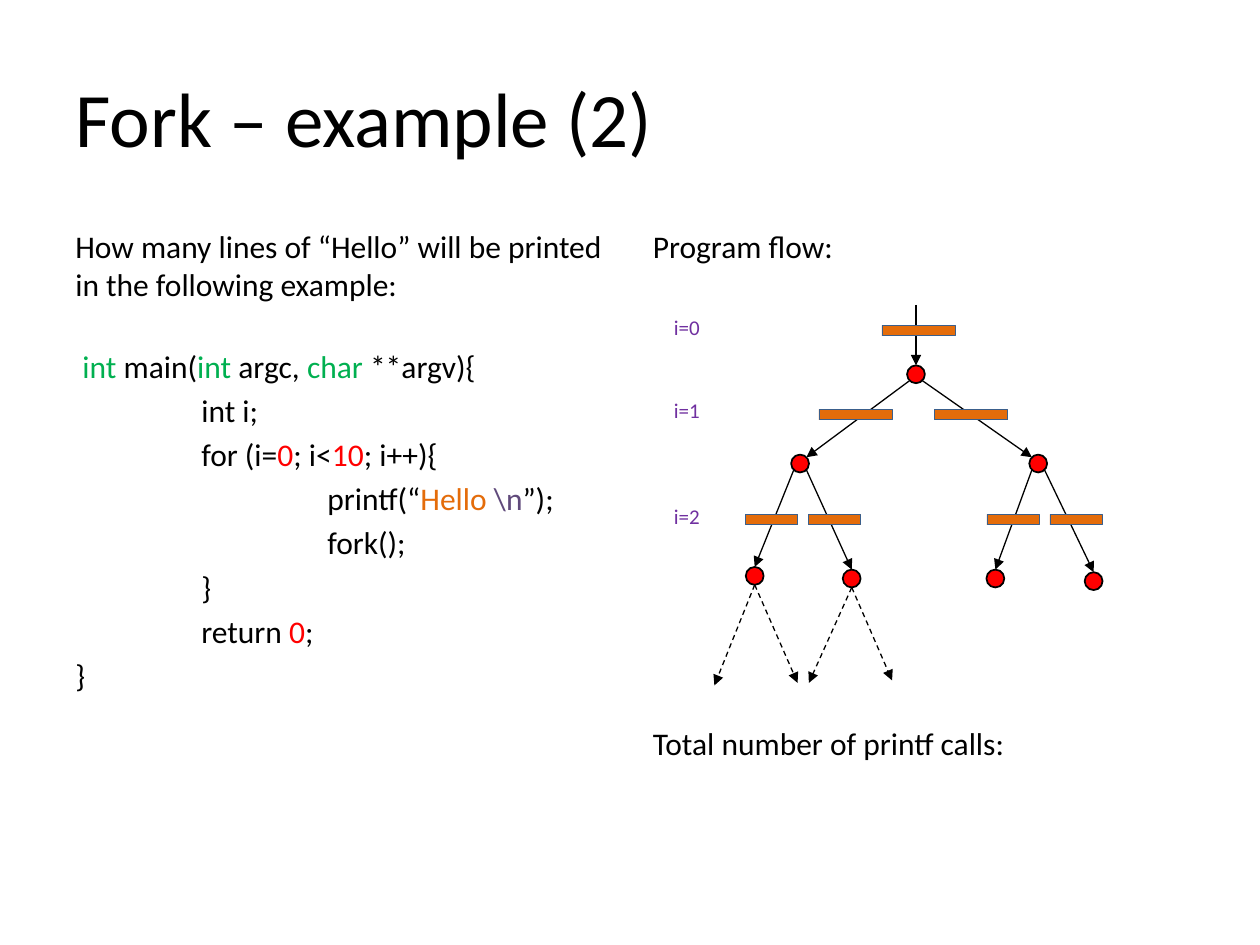
from dataclasses import dataclass

from lxml import etree
from pptx import Presentation
from pptx.dml.color import RGBColor
from pptx.enum import dml, shapes, text
from pptx.oxml import ns
from pptx.util import Inches, Pt

BLACK = RGBColor(0x00, 0x00, 0x00)
RED = RGBColor(0xFF, 0x00, 0x00)
GREEN = RGBColor(0x00, 0xB0, 0x50)
ORANGE = RGBColor(0xE4, 0x6C, 0x0A)
VIOLET = RGBColor(0x60, 0x4A, 0x7B)
PURPLE = RGBColor(0x70, 0x30, 0xA0)
BLUE = RGBColor(0x3A, 0x5F, 0x8C)

FONT = "Calibri"
CELL = Inches(1) / 12
DOT = 1.7
DIAGONAL = 0.6
GAP = 3.6
LINE = 22


@dataclass(frozen=True)
class Point:
    col: float
    row: float

    def moved(self, cols: float, rows: float) -> "Point":
        return Point(self.col + cols, self.row + rows)


@dataclass(frozen=True)
class Line:
    pieces: tuple[tuple[str, RGBColor], ...]
    level: int = 0
    before: float = GAP


@dataclass(frozen=True)
class Step:
    label: str
    label_row: float
    bar_row: int
    bar_cols: tuple[int, ...]
    bar_width: int


def plain(words: str, level: int = 0, before: float = GAP) -> Line:
    return Line(((words, BLACK),), level, before)


QUESTION = (
    plain("How many lines of “Hello” will be printed in the following example:", before=0),
    Line(((" int", GREEN), (" main(", BLACK), ("int ", GREEN), ("argc, ", BLACK),
          ("char", GREEN), (" **argv){", BLACK)), before=GAP + LINE),
    plain("int i;", 1),
    Line((("for (i=", BLACK), ("0", RED), ("; i<", BLACK), ("10", RED),
          ("; i++){", BLACK)), 1),
    Line((("printf(“", BLACK), ("Hello ", ORANGE), ("\\n", VIOLET), ("”);", BLACK)), 2),
    plain("fork();", 2),
    plain("}", 1),
    Line((("return ", BLACK), ("0", RED), (";", BLACK)), 1),
    plain("}"),
)
FLOW = (
    plain("Program flow:", before=0),
    plain("Total number of printf calls:", before=262.5),
)

ROOT = Point(87.24, 35.65)
CHILDREN = {
    Point(76.2, 44.15): (Point(71.88, 54.85), Point(81.12, 55.1)),
    Point(98.88, 44.15): (Point(94.8, 55.1), Point(104.16, 55.35)),
}
CONTINUED = {
    Point(71.88, 54.85): (Point(68.04, 65.28), Point(75.96, 65.04)),
    Point(81.12, 55.1): (Point(77.04, 65.04), Point(84.96, 64.8)),
}
STEPS = (
    Step("i=0", 29.4, 31, (84,), 7),
    Step("i=1", 37.3, 39, (78, 89), 7),
    Step("i=2", 47.4, 49, (71, 77, 94, 100), 5),
)


def cells(count: float) -> int:
    return round(count * CELL)


def add_text(slide, corner: Point, width: float, height: float, lines: tuple[Line, ...],
             size: float, wrap: bool = True, anchor=text.MSO_ANCHOR.TOP) -> None:
    box = slide.shapes.add_textbox(*map(cells, (corner.col, corner.row, width, height)))
    frame = box.text_frame
    frame.word_wrap = wrap
    frame.vertical_anchor = anchor
    for index, line in enumerate(lines):
        paragraph = frame.paragraphs[0] if index == 0 else frame.add_paragraph()
        paragraph.space_before = Pt(line.before)
        if line.level:
            paragraph._p.get_or_add_pPr().set("marL", str(Inches(line.level)))
        paragraph.font.name = FONT
        paragraph.font.size = Pt(size)
        for words, color in line.pieces:
            run = paragraph.add_run()
            run.text = words
            run.font.color.rgb = color


def add_block(slide, kind, corner: Point, width: float, height: float,
              fill: RGBColor, outline: RGBColor, weight: float) -> None:
    block = slide.shapes.add_shape(
        kind, *map(cells, (corner.col, corner.row, width, height)))
    block.shadow.inherit = False
    block.fill.solid()
    block.fill.fore_color.rgb = fill
    block.line.color.rgb = outline
    block.line.width = Pt(weight)


def add_process(slide, center: Point) -> None:
    add_block(slide, shapes.MSO_SHAPE.OVAL, center.moved(-DOT / 2, -DOT / 2),
              DOT, DOT, RED, BLACK, 1)


def add_arrow(slide, start: Point, end: Point, dashed: bool = False) -> None:
    arrow = slide.shapes.add_connector(
        shapes.MSO_CONNECTOR.STRAIGHT,
        *map(cells, (start.col, start.row, end.col, end.row)))
    arrow.line.color.rgb = BLACK
    arrow.line.width = Pt(0.75)
    if dashed:
        arrow.line.dash_style = dml.MSO_LINE.DASH
    properties = arrow._element.spPr
    etree.SubElement(properties.find(ns.qn("a:ln")), ns.qn("a:tailEnd"), type="triangle")
    etree.SubElement(properties, ns.qn("a:effectLst"))


def add_tree(slide) -> None:
    top = ROOT.moved(0, -DOT / 2)
    add_arrow(slide, Point(ROOT.col, 29.04), top)
    add_process(slide, ROOT)
    for child, leaves in CHILDREN.items():
        side = DIAGONAL if child.col > ROOT.col else -DIAGONAL
        add_arrow(slide, ROOT.moved(side, DIAGONAL), child.moved(-side, -DIAGONAL))
        add_process(slide, child)
        for leaf, shift in zip(leaves, (-DIAGONAL, DIAGONAL)):
            add_arrow(slide, child.moved(shift, DIAGONAL), leaf.moved(0, -DOT / 2))
            add_process(slide, leaf)
    for leaf, ends in CONTINUED.items():
        for end in ends:
            add_arrow(slide, leaf.moved(0, DOT / 2), end, dashed=True)


def add_step(slide, step: Step) -> None:
    for col in step.bar_cols:
        add_block(slide, shapes.MSO_SHAPE.RECTANGLE, Point(col, step.bar_row),
                  step.bar_width, 1, ORANGE, BLUE, 0.5)
    label = Line(((step.label, PURPLE),), before=0)
    add_text(slide, Point(63, step.label_row), 5, 3.6, (label,), 12, wrap=False)


def main() -> None:
    deck = Presentation()
    deck.slide_width, deck.slide_height = cells(120), cells(90)
    slide = deck.slides.add_slide(deck.slide_layouts[6])
    add_text(slide, Point(6, 3.6), 108, 15, (plain("Fork – example (2)", before=0),), 44,
             anchor=text.MSO_ANCHOR.MIDDLE)
    for col, lines in ((6, QUESTION), (61, FLOW)):
        add_text(slide, Point(col, 21), 53, 59.4, lines, 18)
    add_tree(slide)
    for step in STEPS:
        add_step(slide, step)
    deck.save("out.pptx")


if __name__ == "__main__":
    main()
